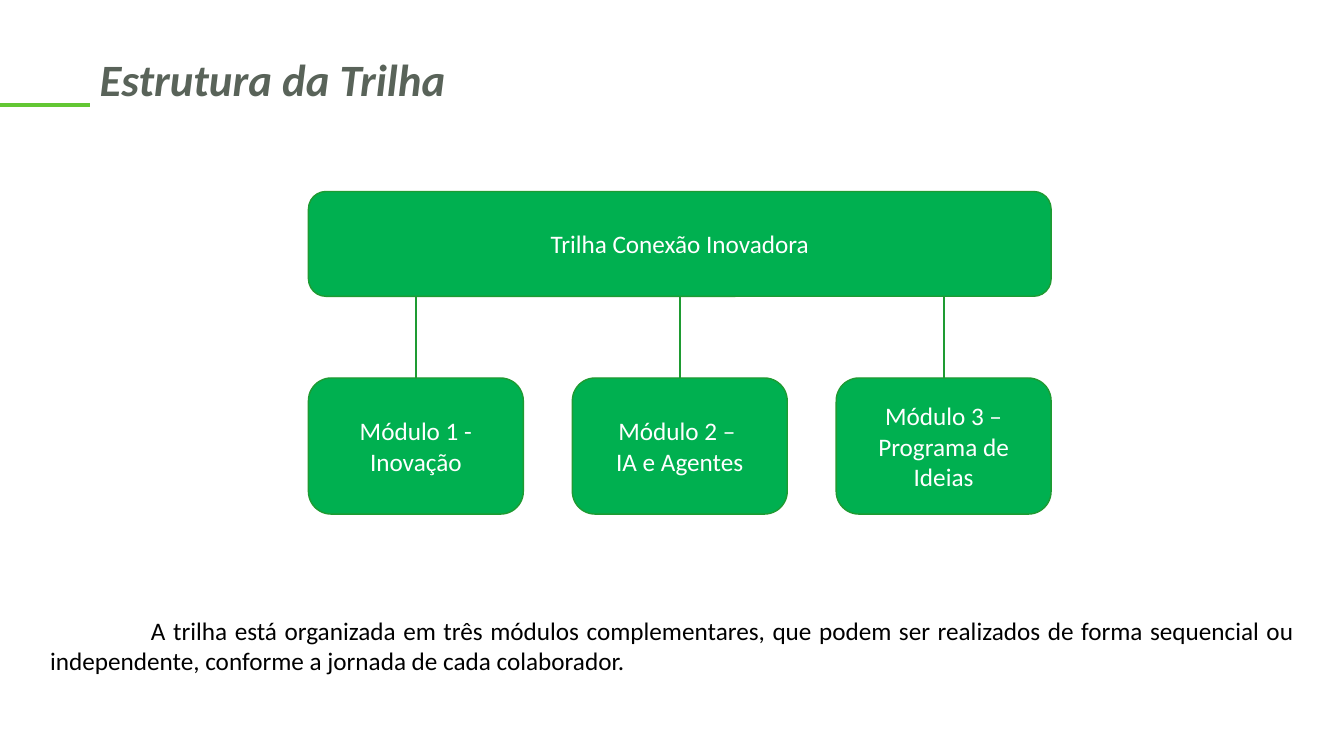
from lxml.etree import SubElement
from pptx import Presentation
from pptx.dml.color import RGBColor
from pptx.enum.shapes import MSO_CONNECTOR as Connector, MSO_SHAPE as Shape
from pptx.enum.text import MSO_ANCHOR as Anchor, PP_ALIGN as Align
from pptx.oxml.ns import qn
from pptx.util import Pt

FONT = "Calibri"
GREEN = "00B050"
DARK_GREEN = "1E9B32"
LIME = "63C733"
GREY = "596359"
WHITE = "FFFFFF"
BLACK = "000000"

TREE_LEFT, TREE_WIDTH = 220.3, 530.5
ROOT_TOP, ROOT_HEIGHT = 136.8, 74.9
MODULE_TOP, MODULE_WIDTH, MODULE_HEIGHT = 270, 153.5, 97.2
MODULES = [
    "Módulo 1 - Inovação",
    "Módulo 2 – \nIA e Agentes",
    "Módulo 3 – Programa de Ideias",
]


def color(value):
    return RGBColor.from_string(value)


def write(text_frame, text, size, font_color, align, bold=False, italic=False):
    text_frame.text = text
    for paragraph in text_frame.paragraphs:
        paragraph.alignment = align
        for run in paragraph.runs:
            font = run.font
            font.name, font.size = FONT, Pt(size)
            font.bold, font.italic = bold, italic
            font.color.rgb = color(font_color)


def add_text(slide, left, top, width, height, wrap=True):
    text_box = slide.shapes.add_textbox(Pt(left), Pt(top), Pt(width), Pt(height))
    text_box.text_frame.word_wrap = wrap
    return text_box.text_frame


def add_box(slide, left, top, width, height, text):
    shape = slide.shapes.add_shape(
        Shape.ROUNDED_RECTANGLE, Pt(left), Pt(top), Pt(width), Pt(height))
    shape.shadow.inherit = False
    shape.fill.solid()
    shape.fill.fore_color.rgb = color(GREEN)
    shape.line.color.rgb = color(DARK_GREEN)
    shape.line.width = Pt(1)
    shape.text_frame.word_wrap = True
    shape.text_frame.vertical_anchor = Anchor.MIDDLE
    write(shape.text_frame, text, 18, WHITE, Align.CENTER)


def add_line(slide, x1, y1, x2, y2, line_color, width):
    connector = slide.shapes.add_connector(
        Connector.STRAIGHT, Pt(x1), Pt(y1), Pt(x2), Pt(y2))
    connector.line.color.rgb = color(line_color)
    connector.line.width = Pt(width)
    SubElement(connector._element.spPr, qn("a:effectLst"))


def add_title(slide):
    text_frame = add_text(slide, 64.1, 33.1, 300, 46.1, wrap=False)
    write(text_frame, "Estrutura da Trilha", 32, GREY, Align.LEFT, bold=True, italic=True)
    add_line(slide, 0, 74.9, 64.1, 74.9, LIME, 3)


def add_tree(slide):
    add_box(slide, TREE_LEFT, ROOT_TOP, TREE_WIDTH, ROOT_HEIGHT, "Trilha Conexão Inovadora")
    step = (TREE_WIDTH - MODULE_WIDTH) / (len(MODULES) - 1)
    for index, text in enumerate(MODULES):
        left = TREE_LEFT + index * step
        center = left + MODULE_WIDTH / 2
        add_box(slide, left, MODULE_TOP, MODULE_WIDTH, MODULE_HEIGHT, text)
        add_line(slide, center, ROOT_TOP + ROOT_HEIGHT, center, MODULE_TOP, DARK_GREEN, 1.5)


def add_summary(slide):
    text_frame = add_text(slide, 28.8, 435.6, 902.9, 51.1)
    write(
        text_frame,
        "A trilha está organizada em três módulos complementares, que podem ser "
        "realizados de forma sequencial ou independente, conforme a jornada de "
        "cada colaborador.",
        18, BLACK, Align.JUSTIFY)
    properties = text_frame.paragraphs[0]._p.get_or_add_pPr()
    properties.set("indent", str(Pt(72)))


def main():
    presentation = Presentation()
    presentation.slide_width, presentation.slide_height = Pt(960), Pt(540)
    slide = presentation.slides.add_slide(presentation.slide_layouts[6])
    add_title(slide)
    add_tree(slide)
    add_summary(slide)
    presentation.save("out.pptx")


if __name__ == "__main__":
    main()
